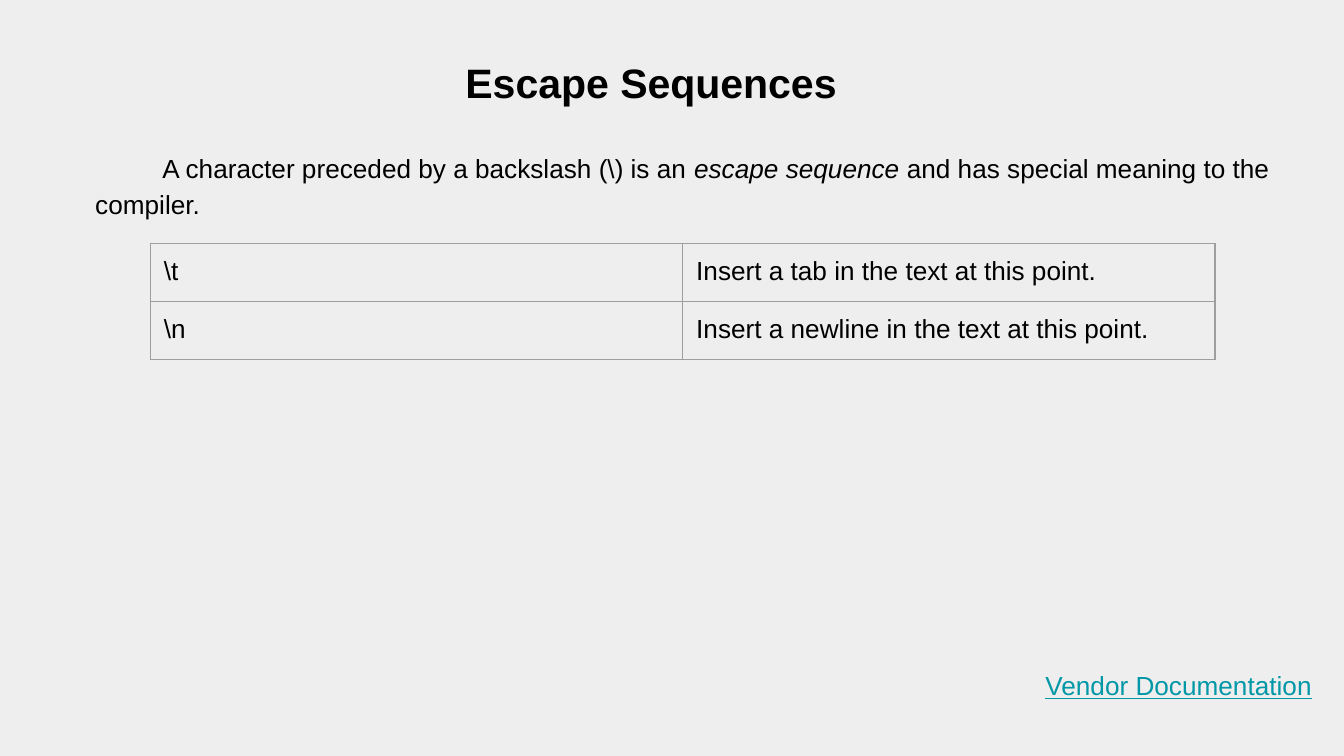
import pptx
import pptx.dml.color
import pptx.enum.text
import pptx.oxml
import pptx.oxml.ns
import pptx.util

Inches = pptx.util.Inches
Pt = pptx.util.Pt
ALIGN = pptx.enum.text.PP_ALIGN
COLORS = {"back": "EEEEEE", "text": "000000", "link": "0097A7", "border": "9E9E9E"}


class Deck:
    """Style and current slide, with a method for each kind of element."""

    def __init__(self, prs):
        self.font = {"name": "Arial", "size": Pt(14)}
        self.margins = {f"margin_{side}": Inches(0.1) for side in ("left", "top", "right", "bottom")}
        self.s = prs.slides.add_slide(prs.slide_layouts[6])
        self.fill(self.s.background.fill, "back")

    def rgb(self, color):
        return pptx.dml.color.RGBColor.from_string(COLORS[color])

    def fill(self, fill, color):
        fill.solid()
        fill.fore_color.rgb = self.rgb(color)

    def apply(self, target, values):
        for name, value in values.items():
            setattr(target, name, value)

    def run(self, p, text, color="text", **font):
        r = p.add_run()
        r.text = text
        self.apply(r.font, {**self.font, **font})
        r.font.color.rgb = self.rgb(color)

    def text(self, box, runs, indent=0, **paragraph):
        sp = self.s.shapes.add_textbox(*map(Inches, box))
        tf = sp.text_frame
        self.apply(tf, {**self.margins, "word_wrap": True,
                        "auto_size": pptx.enum.text.MSO_AUTO_SIZE.SHAPE_TO_FIT_TEXT})
        p = tf.paragraphs[0]
        self.apply(p, paragraph)
        if indent:
            pPr = p._p.get_or_add_pPr()
            pPr.set("marL", "0")
            pPr.set("indent", str(Inches(indent)))
        for text, font in runs:
            self.run(p, text, **font)

    def border(self, cell):
        tcPr = cell._tc.get_or_add_tcPr()
        for side in ("lnL", "lnR", "lnT", "lnB"):
            tcPr.append(pptx.oxml.parse_xml(
                f'<a:{side} {pptx.oxml.ns.nsdecls("a")} w="{Pt(0.75)}"><a:solidFill>'
                f'<a:srgbClr val="{COLORS["border"]}"/></a:solidFill></a:{side}>'))

    def table(self, left, top, col_width, row_height, rows):
        cols = len(rows[0])
        size = (left, top, col_width * cols, row_height * len(rows))
        table = self.s.shapes.add_table(len(rows), cols, *map(Inches, size)).table
        self.apply(table, {"first_row": False, "horz_banding": False})
        for i, row in enumerate(rows):
            for j, text in enumerate(row):
                cell = table.cell(i, j)
                self.apply(cell, self.margins)
                self.border(cell)
                cell.fill.background()
                self.run(cell.text_frame.paragraphs[0], text)


def main():
    prs = pptx.Presentation()
    prs.slide_width = Inches(10)
    prs.slide_height = prs.slide_width * 9 // 16
    deck = Deck(prs)
    deck.text((0.16, 0.33, 9.37, 0.57),
              [("Escape Sequences", {"size": Pt(22), "bold": True})], alignment=ALIGN.CENTER)
    deck.text((0.61, 1, 9.01, 0.71),
              [(r"A character preceded by a backslash (\) is an ", {}),
               ("escape sequence", {"italic": True}),
               (" and has special meaning to the compiler.", {})],
              indent=0.5, line_spacing=1.15, space_after=Pt(10))
    deck.text((7.57, 4.88, 2.4, 0.44),
              [("Vendor Documentation", {"color": "link", "underline": True})],
              alignment=ALIGN.CENTER)
    deck.table(1.12, 1.81, 3.96, 0.42,
               [(r"\t", "Insert a tab in the text at this point."),
                (r"\n", "Insert a newline in the text at this point.")])
    prs.save("out.pptx")


if __name__ == "__main__":
    main()
